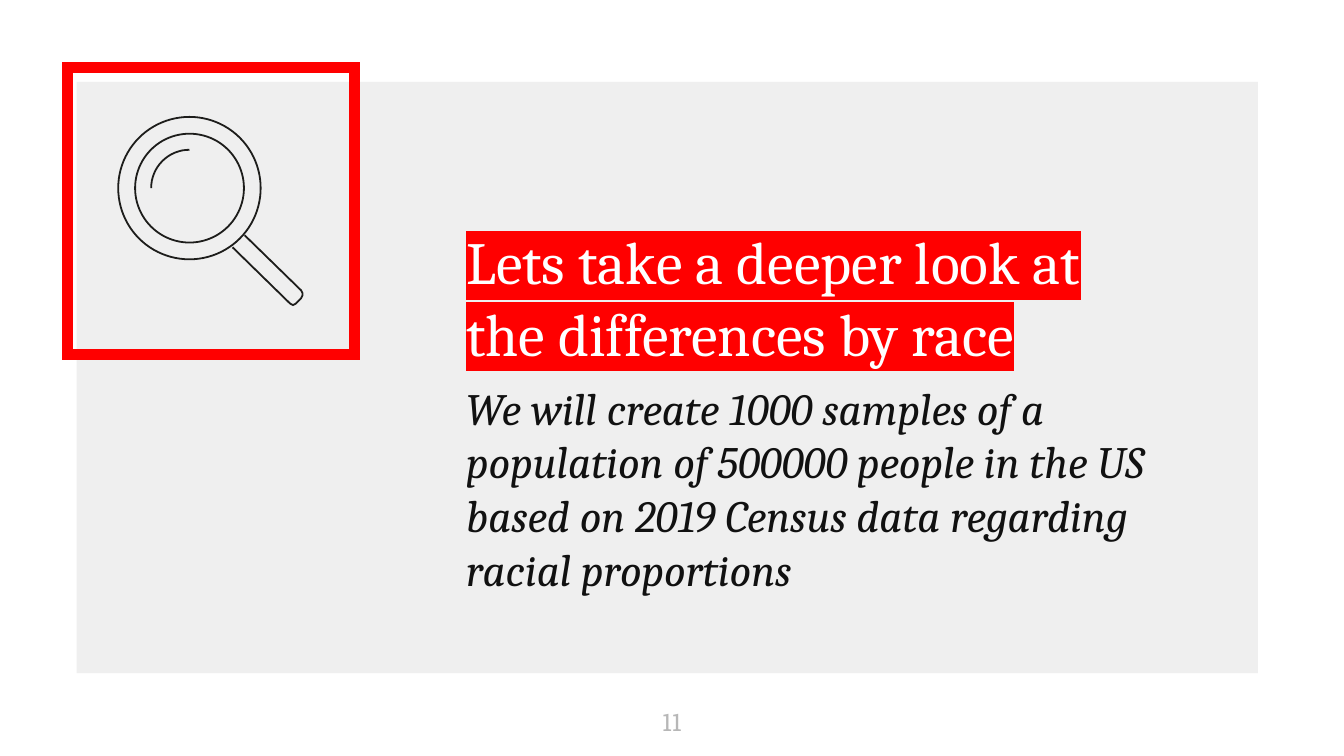
from dataclasses import dataclass
from math import cos, pi, sin

from lxml import etree
from pptx import Presentation
from pptx import util as u
from pptx.dml.color import RGBColor
from pptx.enum import shapes, text
from pptx.oxml.ns import qn

COLORS = {
    "panel": "EFEFEF",
    "accent": "FF0000",
    "title": "FFFFFF",
    "body": "111111",
    "number": "B7B7B7",
    "icon": "1D1D1B",
}
ICON_LINE = 0.96
LENS_CENTER = (1.41, 1.4)


@dataclass
class TextBlock:
    words: str
    box: tuple[float, float, float, float]
    size: int
    color: str
    font: str = "Cambria"
    italic: bool = False
    space_before: int = 0
    align: text.PP_ALIGN = text.PP_ALIGN.LEFT
    anchor: text.MSO_ANCHOR = text.MSO_ANCHOR.TOP
    highlight: str | None = None


def rgb(name: str) -> RGBColor:
    return RGBColor.from_string(COLORS[name])


def outline(shape, color: str, width: float) -> None:
    shape.shadow.inherit = False
    shape.fill.background()
    shape.line.color.rgb = rgb(color)
    shape.line.width = u.Pt(width)
    # Square corners
    etree.SubElement(shape.line._get_or_add_ln(), qn("a:miter"), lim="800000")


def add_preset(slide, kind: shapes.MSO_SHAPE, box: tuple[float, ...]):
    shape = slide.shapes.add_shape(kind, *map(u.Inches, box))
    shape.shadow.inherit = False
    return shape


def add_ring(slide, radius: float) -> None:
    x, y = LENS_CENTER
    box = (x - radius, y - radius, 2 * radius, 2 * radius)
    outline(add_preset(slide, shapes.MSO_SHAPE.OVAL, box), "icon", ICON_LINE)


def add_stroke(slide, points: list[tuple[float, float]]) -> None:
    start, *rest = [(u.Inches(x), u.Inches(y)) for x, y in points]
    builder = slide.shapes.build_freeform(*start)
    builder.add_line_segments(rest, close=False)
    outline(builder.convert_to_shape(), "icon", ICON_LINE)


def add_text(slide, block: TextBlock) -> None:
    frame = slide.shapes.add_textbox(*map(u.Inches, block.box)).text_frame
    frame.word_wrap = True
    frame.vertical_anchor = block.anchor
    frame.margin_left = frame.margin_right = u.Inches(0.1)
    frame.margin_top = frame.margin_bottom = u.Inches(0.1)
    paragraph = frame.paragraphs[0]
    paragraph.alignment = block.align
    paragraph.space_before = u.Pt(block.space_before)
    run = paragraph.add_run()
    run.text = block.words
    font = paragraph.font
    font.name = block.font
    font.size = u.Pt(block.size)
    font.italic = block.italic
    font.color.rgb = rgb(block.color)
    if block.highlight:
        properties = run._r.get_or_add_rPr()
        mark = etree.SubElement(properties, qn("a:highlight"))
        etree.SubElement(mark, qn("a:srgbClr"), val=COLORS[block.highlight])


TEXTS = [
    TextBlock("Lets take a deeper look at the differences by race",
              (3.37, 1.57, 5.14, 1.27), 32, "title",
              anchor=text.MSO_ANCHOR.BOTTOM, highlight="accent"),
    TextBlock("We will create 1000 samples of a population of 500000 people "
              "in the US based on 2019 Census data regarding racial proportions",
              (3.37, 2.73, 5.38, 0.86), 24, "body", italic=True, space_before=6),
    TextBlock("11", (4.7, 5.16, 0.6, 0.43), 13, "number", font="Roboto Slab",
              align=text.PP_ALIGN.CENTER),
]


def main() -> None:
    presentation = Presentation()
    presentation.slide_width = u.Inches(10)
    presentation.slide_height = u.Inches(10 * 9 / 16)
    slide = presentation.slides.add_slide(presentation.slide_layouts[6])

    # Grey panel and red frame
    panel = add_preset(slide, shapes.MSO_SHAPE.RECTANGLE, (0.57, 0.61, 8.79, 4.4))
    panel.fill.solid()
    panel.fill.fore_color.rgb = rgb("panel")
    panel.line.fill.background()
    frame = add_preset(slide, shapes.MSO_SHAPE.RECTANGLE, (0.5, 0.5, 2.14, 2.14))
    outline(frame, "accent", 6)

    # Title, explanation and slide number
    for block in TEXTS:
        add_text(slide, block)

    # Magnifying glass: rim, glint and handle
    for radius in (0.53, 0.405):
        add_ring(slide, radius)
    x, y = LENS_CENTER
    angles = [pi + step * pi / 32 for step in range(17)]
    add_stroke(slide, [(x + 0.285 * cos(a), y + 0.285 * sin(a)) for a in angles])
    add_stroke(slide, [(1.73, 1.84), (2.15, 2.25), (2.16, 2.26), (2.18, 2.27),
                       (2.2, 2.26), (2.24, 2.22), (2.25, 2.2), (2.25, 2.18),
                       (2.24, 2.16), (1.82, 1.75)])

    presentation.save("out.pptx")


if __name__ == "__main__":
    main()
